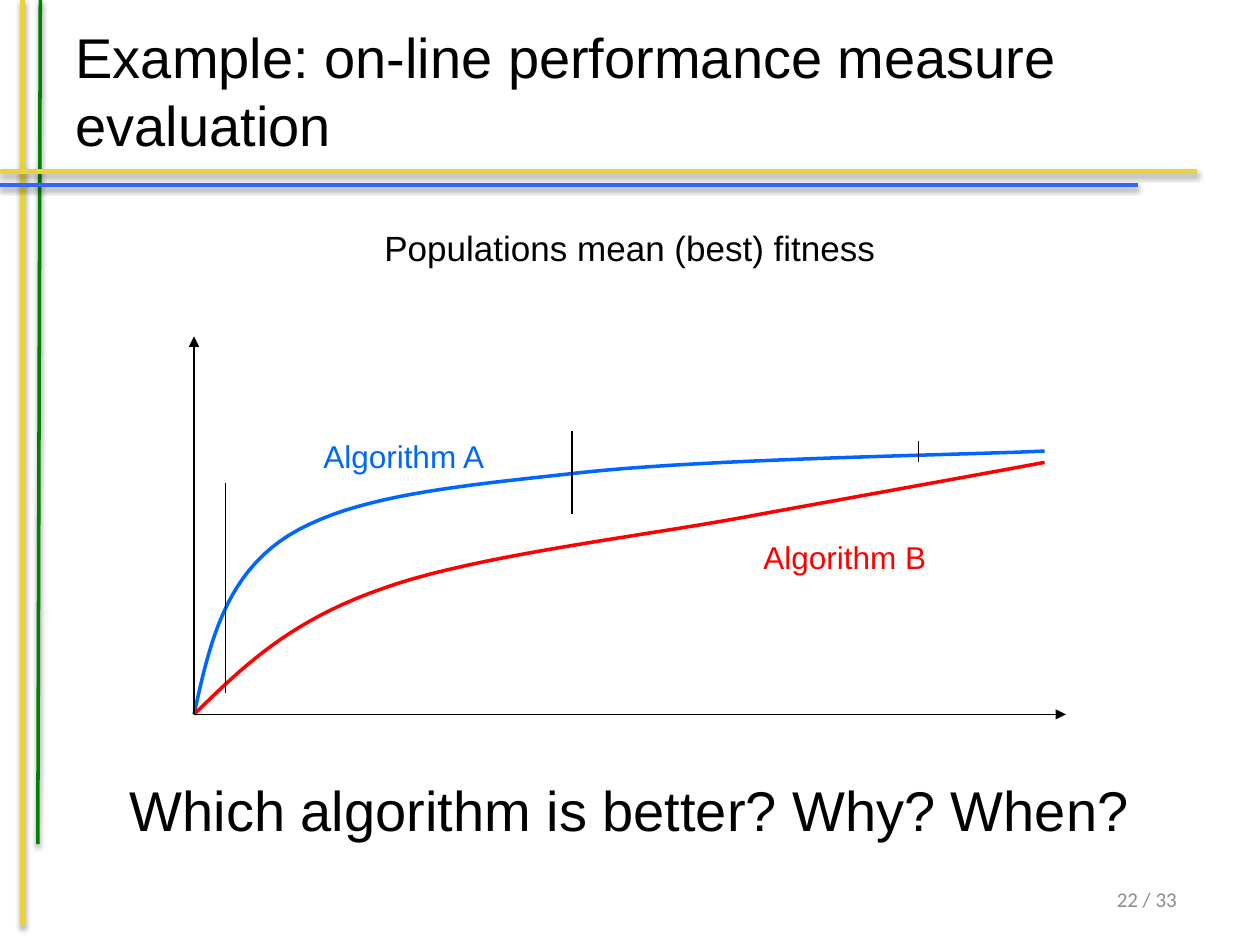
from lxml import etree
from pptx import Presentation
from pptx.dml.color import RGBColor
from pptx.enum.shapes import MSO_CONNECTOR
from pptx.enum.text import MSO_ANCHOR, MSO_AUTO_SIZE, PP_ALIGN
from pptx.oxml.ns import qn
from pptx.util import Inches, Pt

STRAIGHT = MSO_CONNECTOR.STRAIGHT
TOP, MIDDLE = MSO_ANCHOR.TOP, MSO_ANCHOR.MIDDLE
LEFT, CENTER, RIGHT = PP_ALIGN.LEFT, PP_ALIGN.CENTER, PP_ALIGN.RIGHT

THEME = {
    "font": "Arial", "number_font": "Calibri",
    "ink": "000000", "grey": "8C8C8C",
    "yellow": "E8D241", "green": "008000", "rule_blue": "3366FF",
    "blue": "0066FF", "red": "FF0000",
    "heading": 32, "lead": 20, "label": 18, "number": 12,
    "thick": 3, "medium": 2, "thin": 0.75,
}

TITLE = "Example: on-line performance measure evaluation"
LEAD = "Populations mean (best) fitness"
QUESTION = "Which algorithm is better? Why? When?"
PAGE_NUMBER = "22 / 33"

# start, end, colour, width
RULES = [
    ((0.18, 0), (0.18, 7.35), "yellow", "thick"),
    ((0.32, 0), (0.3, 6.7), "green", "medium"),
    ((0, 1.36), (9.5, 1.36), "yellow", "thick"),
    ((0, 1.47), (9.03, 1.47), "rule_blue", "medium"),
]
ORIGIN = (1.54, 5.67)
AXIS_ENDS = [(8.46, 5.67), (1.54, 2.67)]
# x, top, bottom
TIME_MARKS = [(4.54, 3.42, 4.08), (7.29, 3.5, 3.67), (1.79, 3.83, 5.5)]
# Bezier segments (control, control, end), each curve starting at ORIGIN
ALGORITHMS = [
    {"name": "Algorithm A", "color": "blue", "label": (2.46, 3.42, 1.49, 0.4),
     "segments": [((1.66, 5.12), (1.78, 4.57), (2.29, 4.25)),
                  ((2.81, 3.93), (3.62, 3.86), (4.62, 3.75)),
                  ((5.62, 3.64), (7.68, 3.61), (8.29, 3.58))]},
    {"name": "Algorithm B", "color": "red", "label": (5.96, 4.22, 1.49, 0.4),
     "segments": [((1.92, 5.3), (2.29, 4.93), (3.04, 4.67)),
                  ((3.79, 4.4), (5.17, 4.25), (6.04, 4.08)),
                  ((6.92, 3.92), (7.92, 3.74), (8.29, 3.67))]},
]
STEPS = 20


def color(name):
    return RGBColor.from_string(THEME[name])


def place(shape, box):
    shape.left, shape.top, shape.width, shape.height = map(Inches, box)


def write(shape, text, size, ink="ink", font="font", align=CENTER,
          anchor=TOP, wrap=True):
    frame = shape.text_frame
    frame.text = text
    frame.word_wrap = wrap
    frame.auto_size = MSO_AUTO_SIZE.NONE
    frame.vertical_anchor = anchor
    para = frame.paragraphs[0]
    para.alignment = align
    para.font.name = THEME[font]
    para.font.size = Pt(THEME[size])
    para.font.color.rgb = color(ink)
    return para


def add_text(shapes, box, text, size, **style):
    write(shapes.add_textbox(*map(Inches, box)), text, size, **style)


def add_line(shapes, start, end, ink="ink", width="thin", arrow=False, shadow=False):
    line = shapes.add_connector(STRAIGHT, *map(Inches, (*start, *end)))
    line.line.color.rgb = color(ink)
    line.line.width = Pt(THEME[width])
    if arrow:
        etree.SubElement(line.line._get_or_add_ln(), qn("a:tailEnd"), type="triangle")
    effects = etree.SubElement(line._element.spPr, qn("a:effectLst"))
    if shadow:
        cast = etree.SubElement(effects, qn("a:outerShdw"), blurRad=str(Pt(3.1)),
                                dist=str(Pt(1.6)), dir="5400000", rotWithShape="0")
        tint = etree.SubElement(cast, qn("a:srgbClr"), val=THEME["ink"])
        etree.SubElement(tint, qn("a:alpha"), val="38000")


def bezier_points(start, segments):
    points = []
    for first, second, end in segments:
        for step in range(1, STEPS + 1):
            t = step / STEPS
            u = 1 - t
            points.append(tuple(
                Inches(u**3 * a + 3 * u * u * t * b + 3 * u * t * t * c + t**3 * d)
                for a, b, c, d in zip(start, first, second, end)))
        start = end
    return points


def add_curve(shapes, segments, ink):
    builder = shapes.build_freeform(*map(Inches, ORIGIN))
    builder.add_line_segments(bezier_points(ORIGIN, segments), close=False)
    curve = builder.convert_to_shape()
    curve.shadow.inherit = False
    curve.fill.background()
    curve.line.color.rgb = color(ink)
    curve.line.width = Pt(THEME["medium"])


def add_plot(shapes):
    for algorithm in ALGORITHMS:
        add_curve(shapes, algorithm["segments"], algorithm["color"])
    for end in AXIS_ENDS:
        add_line(shapes, ORIGIN, end, arrow=True)
    for x, top, bottom in TIME_MARKS:
        add_line(shapes, (x, top), (x, bottom))
    for algorithm in ALGORITHMS:
        add_text(shapes, algorithm["label"], algorithm["name"], "label",
                 ink=algorithm["color"], wrap=False)


def main():
    deck = Presentation()
    deck.slide_width, deck.slide_height = Inches(10), Inches(7.5)
    page = deck.slides.add_slide(deck.slide_layouts[1])
    title, body = page.placeholders

    for start, end, ink, width in RULES:
        add_line(page.shapes, start, end, ink, width, shadow=True)

    place(title, (0.5, 0.09, 9, 1.25))
    write(title, TITLE, "heading", align=LEFT, anchor=MIDDLE)

    place(body, (0.5, 1.75, 9, 4.95))
    para = write(body, LEAD, "lead")
    para.space_before = Pt(THEME["lead"] * 0.2)
    properties = para._p.get_or_add_pPr()
    properties.set("marL", "0")
    properties.set("indent", "0")
    etree.SubElement(properties, qn("a:buNone"))
    # bullets must come before the default run properties
    properties.append(properties.find(qn("a:defRPr")))

    add_text(page.shapes, (8.41, 6.86, 1.03, 0.55), PAGE_NUMBER, "number",
             ink="grey", font="number_font", align=RIGHT, anchor=MIDDLE)
    add_text(page.shapes, (0.9, 6.11, 8.2, 0.64), QUESTION, "heading", wrap=False)
    add_plot(page.shapes.add_group_shape().shapes)
    deck.save("out.pptx")


if __name__ == "__main__":
    main()
